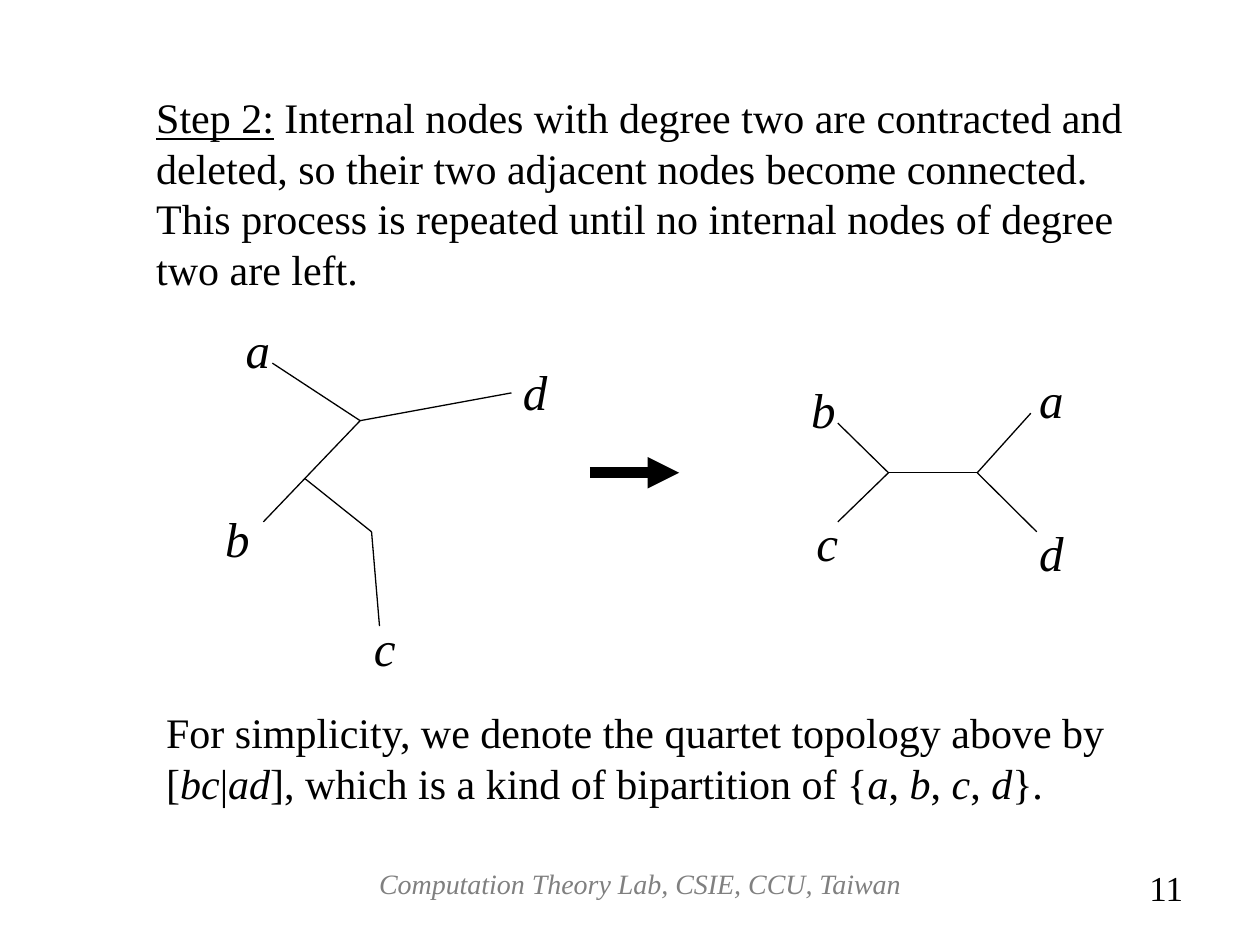
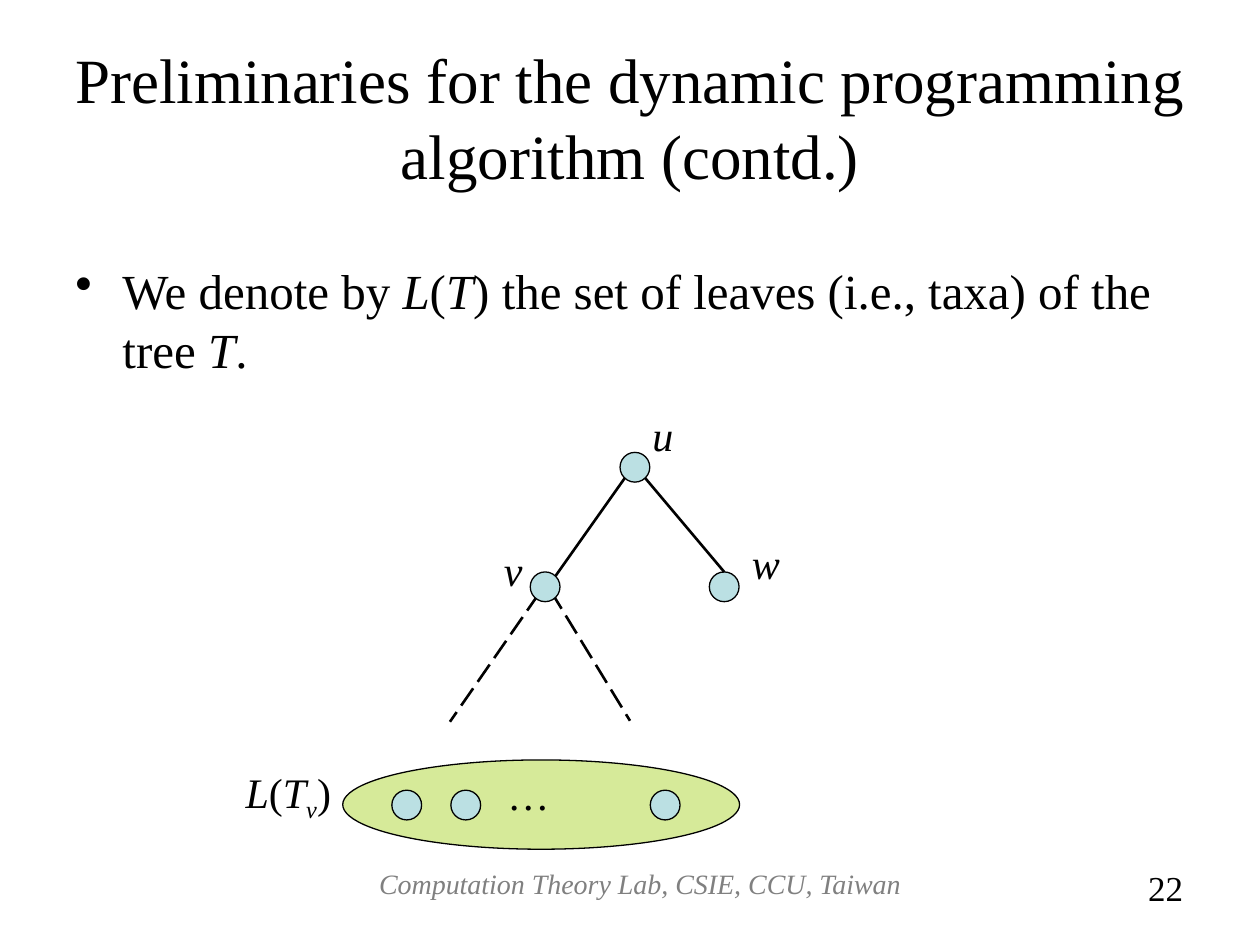
from typing import NamedTuple, Optional

import pptx
import pptx.dml.color
import pptx.enum.dml
import pptx.enum.shapes
import pptx.enum.text
import pptx.oxml
import pptx.oxml.ns
import pptx.shapes.autoshape
import pptx.shapes.connector
import pptx.slide
import pptx.util

Cm = pptx.util.Cm
Pt = pptx.util.Pt
RGBColor = pptx.dml.color.RGBColor
Align = pptx.enum.text.PP_ALIGN
Anchor = pptx.enum.text.MSO_ANCHOR
qn = pptx.oxml.ns.qn

BLACK = RGBColor(0x00, 0x00, 0x00)
GRAY = RGBColor(0x80, 0x80, 0x80)
NODE_BLUE = RGBColor(0xBB, 0xE0, 0xE3)
CLUSTER_GREEN = RGBColor(0x99, 0xCC, 0x00)
FONT = "Times New Roman"
FOOTER = "Computation Theory Lab, CSIE, CCU, Taiwan"
NODE_SIZE = 0.6


class Point(NamedTuple):
    """A place on the slide, in centimetres."""
    x: float
    y: float


class Area(NamedTuple):
    """A rectangle on the slide, in centimetres."""
    left: float
    top: float
    width: float
    height: float


class Span(NamedTuple):
    text: str
    italic: bool = False
    underline: bool = False
    baseline: int = 0


class Style(NamedTuple):
    size: float
    color: RGBColor = BLACK
    italic: Optional[bool] = None
    align: Align = Align.LEFT
    anchor: Anchor = Anchor.TOP
    bullet: bool = False


class Label(NamedTuple):
    text: str
    left: float
    top: float


class Edge(NamedTuple):
    start: Point
    end: Point


TITLE = Style(36, align=Align.CENTER, anchor=Anchor.MIDDLE)
BODY = Style(28, bullet=True)
NOTE = Style(24)
TAXON = Style(28, italic=True)
NODE_NAME = Style(24, italic=True)
FOOTER_STYLE = Style(16, GRAY, italic=True, align=Align.CENTER)
NUMBER_STYLE = Style(20, align=Align.RIGHT)


def mixed(text: str) -> list[Span]:
    """Split text into spans; words between asterisks are italic."""
    pieces = enumerate(text.split("*"))
    return [Span(piece, italic=i % 2 == 1) for i, piece in pieces if piece]


def add_text(page: pptx.slide.Slide, area: Area, spans: list[Span], style: Style) -> None:
    box = page.shapes.add_textbox(*map(Cm, area))
    frame = box.text_frame
    frame.word_wrap = True
    frame.vertical_anchor = style.anchor
    para = frame.paragraphs[0]
    para.alignment = style.align
    if style.bullet:
        properties = para._p.get_or_add_pPr()
        properties.set("marL", str(Cm(0.95)))
        properties.set("indent", str(Cm(-0.95)))
        bullet = pptx.oxml.parse_xml(
            f'<a:buChar {pptx.oxml.ns.nsdecls("a")} char="•"/>')
        properties.append(bullet)
    para.font.name = FONT
    para.font.size = Pt(style.size)
    para.font.color.rgb = style.color
    para.font.italic = style.italic
    for span in spans:
        run = para.add_run()
        run.text = span.text
        if span.italic:
            run.font.italic = True
        if span.underline:
            run.font.underline = True
        if span.baseline:
            run._r.get_or_add_rPr().set("baseline", str(span.baseline * 1000))


def add_labels(page: pptx.slide.Slide, labels: list[Label], style: Style,
               width: float, height: float) -> None:
    for label in labels:
        area = Area(label.left, label.top, width, height)
        add_text(page, area, [Span(label.text)], style)


def add_line(page: pptx.slide.Slide, edge: Edge, weight: float = 0.75,
             dashed: bool = False, arrow: bool = False) -> pptx.shapes.connector.Connector:
    line = page.shapes.add_connector(
        pptx.enum.shapes.MSO_CONNECTOR.STRAIGHT, *map(Cm, edge.start + edge.end))
    line.line.color.rgb = BLACK
    line.line.width = Pt(weight)
    if dashed:
        line.line.dash_style = pptx.enum.dml.MSO_LINE.LONG_DASH
    properties = line._element.spPr
    if arrow:
        head = properties.find(qn("a:ln")).makeelement(
            qn("a:tailEnd"), {"type": "triangle"})
        properties.find(qn("a:ln")).append(head)
    properties.append(properties.makeelement(qn("a:effectLst"), {}))
    return line


def add_ellipse(page: pptx.slide.Slide, area: Area, fill: RGBColor,
                opacity: Optional[int] = None) -> pptx.shapes.autoshape.Shape:
    ellipse = page.shapes.add_shape(
        pptx.enum.shapes.MSO_SHAPE.OVAL, *map(Cm, area))
    ellipse.shadow.inherit = False
    ellipse.fill.solid()
    ellipse.fill.fore_color.rgb = fill
    ellipse.line.color.rgb = BLACK
    ellipse.line.width = Pt(0.75)
    if opacity is not None:
        color = ellipse._element.spPr.find(qn("a:solidFill"))[0]
        color.append(color.makeelement(qn("a:alpha"), {"val": str(opacity * 1000)}))
    return ellipse


def add_node(page: pptx.slide.Slide, left: float, top: float) -> pptx.shapes.autoshape.Shape:
    return add_ellipse(page, Area(left, top, NODE_SIZE, NODE_SIZE), NODE_BLUE)


def add_footer(page: pptx.slide.Slide, number: int) -> None:
    add_text(page, Area(6.1, 17.35, 13.61, 1.32), [Span(FOOTER)], FOOTER_STYLE)
    add_text(page, Area(20.29, 17.35, 3.81, 1.32), [Span(str(number))], NUMBER_STYLE)


def build_contraction(page: pptx.slide.Slide) -> None:
    # Quartet topology after contraction
    left_node, right_node = Point(17.91, 9.53), Point(19.7, 9.53)
    quartet_edges = [
        Edge(Point(16.89, 8.53), left_node),
        Edge(Point(16.89, 10.52), left_node),
        Edge(left_node, right_node),
        Edge(right_node, Point(20.78, 8.33)),
        Edge(right_node, Point(20.9, 10.72)),
    ]
    quartet_labels = [Label("a", 20.7, 7.32), Label("b", 16.1, 7.52),
                      Label("c", 16.21, 10.21), Label("d", 20.7, 10.41)]

    # Tree that still holds a node of degree two
    upper_node, lower_node = Point(7.26, 8.48), Point(6.15, 9.65)
    degree_two_node = Point(7.49, 10.72)
    tree_edges = [
        Edge(Point(5.49, 7.32), upper_node),
        Edge(Point(5.31, 10.52), upper_node),
        Edge(lower_node, degree_two_node),
        Edge(upper_node, Point(10.31, 7.92)),
        Edge(degree_two_node, Point(7.65, 12.62)),
    ]
    tree_labels = [Label("a", 4.7, 6.32), Label("b", 4.29, 10.13),
                   Label("c", 7.29, 12.32), Label("d", 10.29, 7.16)]

    for edge in quartet_edges + tree_edges:
        add_line(page, edge)
    add_labels(page, quartet_labels + tree_labels, TAXON, 0.79, 1.45)
    add_line(page, Edge(Point(11.89, 9.53), Point(13.69, 9.53)), weight=6, arrow=True)

    # Explanations
    step = [
        Span("Step 2:", underline=True),
        Span(" Internal nodes with degree two are contracted and deleted, so their "
             "two adjacent nodes become connected. This process is repeated until "
             "no internal nodes of degree two are left."),
    ]
    add_text(page, Area(2.9, 1.73, 20.22, 4.32), step, NOTE)
    notation = mixed("For simplicity, we denote the quartet topology above by "
                     "[*bc*|*ad*], which is a kind of bipartition of "
                     "{*a*, *b*, *c*, *d*}.")
    add_text(page, Area(3.1, 14.12, 20.6, 2.29), notation, NOTE)


def build_preliminaries(page: pptx.slide.Slide) -> None:
    # Title and definition
    title = "Preliminaries for the dynamic programming algorithm (contd.)"
    add_text(page, Area(1.27, 0.76, 22.86, 3.18), [Span(title)], TITLE)
    definition = mixed("We denote by *L*(*T*) the set of leaves (i.e., taxa) "
                       "of the tree *T*.")
    add_text(page, Area(1.27, 5.13, 22.86, 11.89), definition, BODY)

    # Subtree below v
    for edge in (Edge(Point(10.87, 11.96), Point(9.07, 14.55)),
                 Edge(Point(11.1, 11.91), Point(12.7, 14.53))):
        add_line(page, edge, weight=1.5, dashed=True)

    # Root u with children v and w
    add_node(page, 12.5, 9.12)
    add_node(page, 10.69, 11.53)
    node_w = add_node(page, 14.3, 11.53)
    add_line(page, Edge(Point(12.6, 9.63), Point(11.2, 11.61)), weight=1.5)
    edge_to_w = add_line(page, Edge(Point(13, 9.63), Point(14.6, 11.53)), weight=1.5)
    edge_to_w.end_connect(node_w, 0)
    names = [Label("u", 12.9, 8.13), Label("v", 9.91, 10.85), Label("w", 14.91, 10.72)]
    add_labels(page, names, NODE_NAME, 0.99, 1.27)

    # Leaf set of the subtree
    add_ellipse(page, Area(6.91, 15.32, 8, 1.8), CLUSTER_GREEN, opacity=40)
    for left in (7.9, 9.09, 13.11):
        add_node(page, left, 15.93)
    add_text(page, Area(9.98, 15.37, 1.4, 1.27), [Span("…")], NOTE)
    leaf_set = mixed("*L*(*T*") + [Span("v", italic=True, baseline=-25), Span(")")]
    add_text(page, Area(4.7, 15.32, 2.39, 1.42), leaf_set, NOTE)


def main() -> None:
    deck = pptx.Presentation()
    deck.slide_width, deck.slide_height = Cm(25.4), Cm(19.05)
    for number, build in ((11, build_contraction), (22, build_preliminaries)):
        page = deck.slides.add_slide(deck.slide_layouts[6])
        build(page)
        add_footer(page, number)
    deck.save("out.pptx")


if __name__ == "__main__":
    main()
